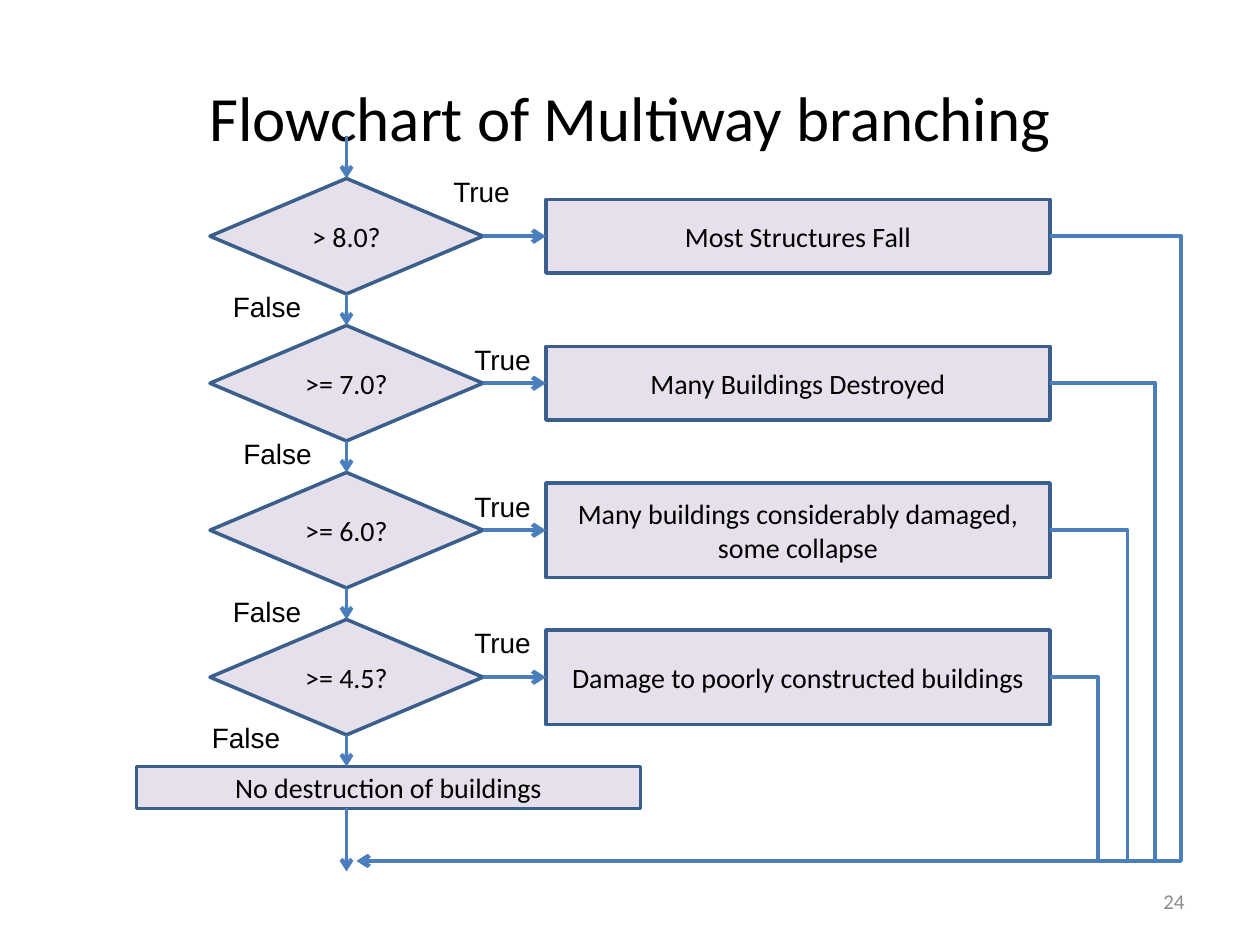
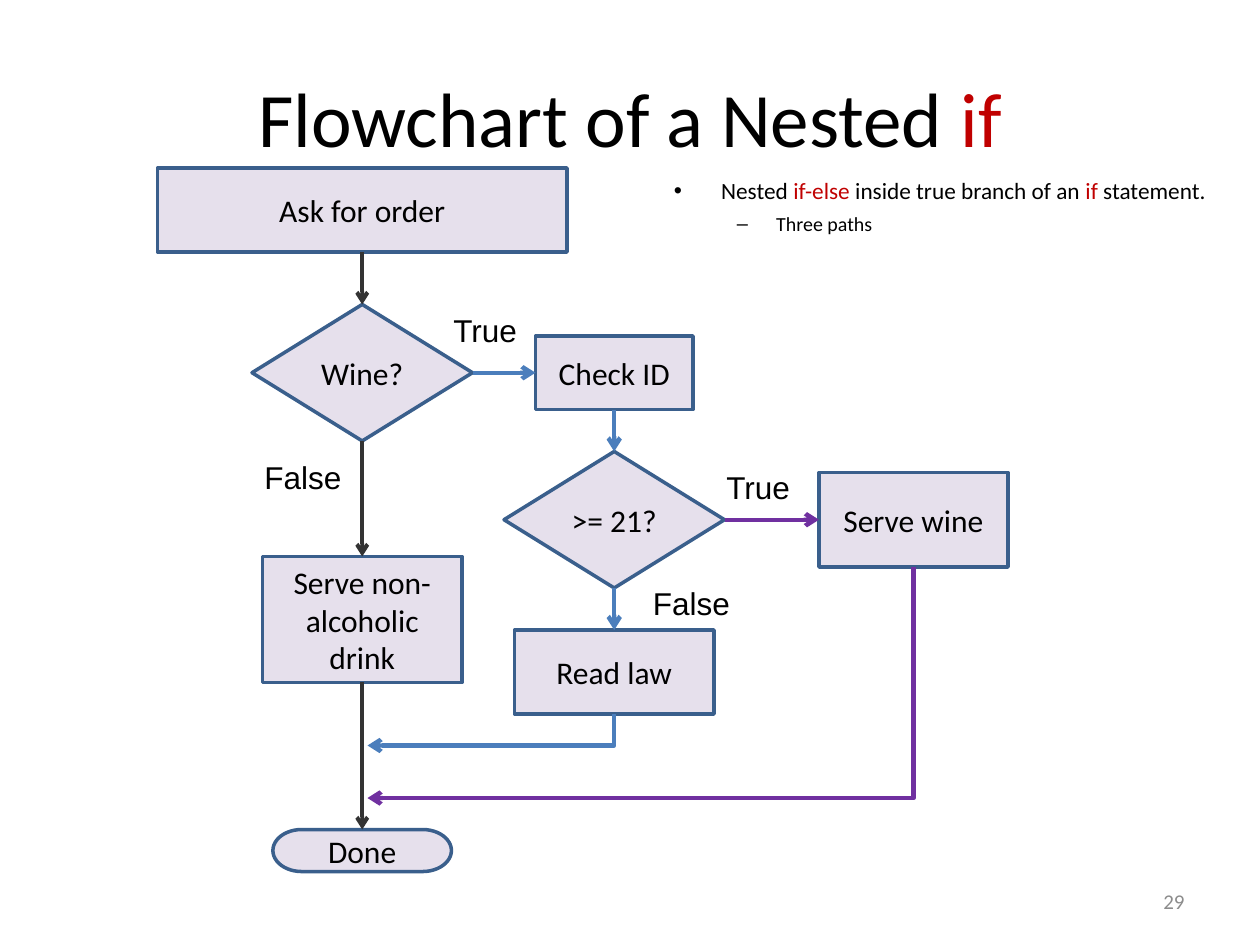
"""Builds two flowchart slides: multiway branching and a nested if."""
from pptx import Presentation
from pptx.dml.color import RGBColor
from pptx.enum.shapes import MSO_CONNECTOR as LINE, MSO_SHAPE as SHAPE
from pptx.enum.text import MSO_ANCHOR as ANCHOR, MSO_AUTO_SIZE as AUTO, PP_ALIGN as ALIGN
from pptx.oxml.ns import qn
from pptx.util import Pt
from lxml.etree import SubElement

COLORS = {"black": "000000", "red": "C00000", "fill": "E6E0EC", "border": "3A5F8C",
          "blue": "4B7EBC", "dark": "333333", "purple": "7030A0", "gray": "8C8C8C"}
BOX, DIAMOND, PILL = (SHAPE.FLOWCHART_PROCESS, SHAPE.FLOWCHART_DECISION,
                      SHAPE.FLOWCHART_TERMINATOR)


def add_run(p, text, size, color="black", font="Calibri"):
    r = p.add_run()
    r.text = text
    r.font.size, r.font.name = Pt(size), font
    r.font.color.rgb = RGBColor.from_string(COLORS[color])


def add_arrow(s, kind, x1, y1, x2, y2, color, width):
    c = s.shapes.add_connector(kind, Pt(x1), Pt(y1), Pt(x2), Pt(y2))
    c.line.color.rgb = RGBColor.from_string(COLORS[color])
    c.line.width = Pt(width)
    SubElement(c.line._get_or_add_ln(), qn("a:tailEnd"), type="arrow")
    SubElement(c._element.spPr, qn("a:effectLst"))
    return c


branches = [("> 8.0?", "Most Structures Fall", 42, (252, 96), (126, 162), 674.7),
            (">= 7.0?", "Many Buildings Destroyed", 42, (264, 192), (132, 246), 660.3),
            (">= 6.0?", "Many buildings considerably damaged, some collapse", 54,
             (264, 276), (126, 336), 644.4),
            (">= 4.5?", "Damage to poorly constructed buildings", 54,
             (264, 354), (114, 408), 627.8)]
multiway = {"title": [("Flowchart of Multiway branching", "black")], "title_size": 36,
            "size": 16, "number": "24",
            "nodes": [(BOX, 78, 438, 288, 24, "No destruction of buildings")],
            "labels": [],
            "arrows": [(198, 78, 198, 102, "blue", 2.25), (198, 462, 198, 498, "blue", 2.25)],
            "returns": [], "corners": []}
for i, (test, result, h, true_at, false_at, turn) in enumerate(branches):
    top = 102 + 84 * i
    mid = top + 33
    multiway["nodes"] += [(DIAMOND, 120, top, 156, 66, test),
                          (BOX, 312, mid - h // 2, 288, h, result)]
    multiway["labels"] += [("True", *true_at), ("False", *false_at)]
    multiway["arrows"] += [(276, mid, 312, mid, "blue", 2.5),
                           (198, top + 66, 198, top + 84, "blue", 2.25)]
    multiway["returns"].append((600, mid, 204, 492, turn))

nested = {"title": [("Flowchart of a Nested ", "black"), ("if", "red")], "title_size": 44,
          "size": 18, "number": "29",
          "nodes": [(BOX, 90, 96, 234, 48, "Ask for order"),
                    (DIAMOND, 144, 174, 126, 78, "Wine?"),
                    (BOX, 306, 192, 90, 42, "Check ID"),
                    (DIAMOND, 288, 258, 126, 78, ">= 21?"),
                    (BOX, 468, 270, 108, 54, "Serve wine"),
                    (BOX, 294, 360, 114, 48, "Read law"),
                    (BOX, 150, 318, 114, 72, "Serve non-alcoholic drink"),
                    (PILL, 156, 474, 102, 24, "Done")],
          "labels": [("True", 252, 174), ("False", 144, 258),
                     ("True", 408, 264), ("False", 366, 330)],
          "arrows": [(207, 144, 207, 174, "dark", 2.25), (207, 252, 207, 318, "dark", 2.25),
                     (207, 390, 207, 474, "dark", 2.25), (270, 213, 306, 213, "blue", 2.5),
                     (351, 234, 351, 258, "blue", 2.5), (351, 336, 351, 360, "blue", 2.5),
                     (414, 297, 468, 297, "purple", 2.5)],
          "returns": [],
          "corners": [(522, 324, 210, 456, "purple"), (351, 408, 210, 426, "blue")]}

prs = Presentation()
prs.slide_width, prs.slide_height = Pt(720), Pt(540)

for chart in (multiway, nested):
    s = prs.slides.add_slide(prs.slide_layouts[5])
    size = chart["size"]
    title = s.shapes.title
    title.left, title.top, title.width, title.height = Pt(36), Pt(21.6), Pt(648), Pt(90)
    title.text_frame.vertical_anchor = ANCHOR.MIDDLE
    p = title.text_frame.paragraphs[0]
    p.alignment = ALIGN.CENTER
    for text, color in chart["title"]:
        add_run(p, text, chart["title_size"], color)

    sites = {}
    for kind, x, y, w, h, text in chart["nodes"]:
        sp = s.shapes.add_shape(kind, Pt(x), Pt(y), Pt(w), Pt(h))
        sp.shadow.inherit = False
        sp.fill.solid()
        sp.fill.fore_color.rgb = RGBColor.from_string(COLORS["fill"])
        sp.line.color.rgb = RGBColor.from_string(COLORS["border"])
        sp.line.width = Pt(2)
        tf = sp.text_frame
        tf.word_wrap, tf.vertical_anchor = True, ANCHOR.MIDDLE
        p = tf.paragraphs[0]
        p.alignment = ALIGN.CENTER
        add_run(p, text, size)
        middles = [(x + w // 2, y), (x, y + h // 2), (x + w // 2, y + h), (x + w, y + h // 2)]
        for i, point in enumerate(middles):
            sites[point] = (sp, i)

    for x1, y1, x2, y2, color, width in chart["arrows"]:
        c = add_arrow(s, LINE.STRAIGHT, x1, y1, x2, y2, color, width)
        if (x1, y1) in sites:
            c.begin_connect(*sites[x1, y1])
        if (x2, y2) in sites:
            c.end_connect(*sites[x2, y2])

    for x1, y1, x2, y2, turn in chart["returns"]:
        c = add_arrow(s, LINE.ELBOW, x1, y1, x2, y2, "blue", 2.25)
        adj = round(100000 * (turn - x1) / (x2 - x1))
        guides = c._element.spPr.find(qn("a:prstGeom")).get_or_add_avLst()
        SubElement(guides, qn("a:gd"), name="adj1", fmla=f"val {adj}")

    for x1, y1, x2, y2, color in chart["corners"]:
        mid_x, mid_y = (x1 + x2) / 2, (y1 + y2) / 2
        half_w, half_h = (y2 - y1) / 2, (x1 - x2) / 2
        c = add_arrow(s, LINE.ELBOW, mid_x - half_w, mid_y - half_h,
                      mid_x + half_w, mid_y + half_h, color, 2.5)
        c._element.spPr.find(qn("a:prstGeom")).set("prst", "bentConnector2")
        c._element.spPr.find(qn("a:xfrm")).set("rot", "5400000")

    for text, x, y in chart["labels"]:
        w = size * (2.9 if text == "True" else 3.35)
        tf = s.shapes.add_textbox(Pt(x), Pt(y), Pt(w), Pt(size * 1.2 + 7.4)).text_frame
        tf.word_wrap, tf.auto_size = False, AUTO.SHAPE_TO_FIT_TEXT
        add_run(tf.paragraphs[0], text, size, font="Arial")

    tf = s.shapes.add_textbox(Pt(516), Pt(500.5), Pt(168), Pt(28.8)).text_frame
    tf.word_wrap, tf.vertical_anchor = True, ANCHOR.MIDDLE
    p = tf.paragraphs[0]
    p.alignment = ALIGN.RIGHT
    add_run(p, chart["number"], 12, "gray")

notes = [("•", 27, -27, 13.3, [("Nested ", "black"), ("if-else", "red"),
                               (" inside true branch of an ", "black"), ("if ", "red"),
                               ("statement.", "black")]),
         ("–", 58.5, -22.5, 11.4, [("Three paths", "black")])]
tf = s.shapes.add_textbox(Pt(378), Pt(97.2), Pt(324), Pt(47.5)).text_frame
tf.word_wrap = True
for level, (bullet, margin, indent, size, runs) in enumerate(notes):
    p = tf.add_paragraph() if level else tf.paragraphs[0]
    p.level, p.space_before = level, Pt(4)
    pPr = p._p.get_or_add_pPr()
    pPr.set("marL", str(Pt(margin)))
    pPr.set("indent", str(Pt(indent)))
    SubElement(pPr, qn("a:buFont"), typeface="Arial")
    SubElement(pPr, qn("a:buChar"), char=bullet)
    for text, color in runs:
        add_run(p, text, size, color)

prs.save("out.pptx")
